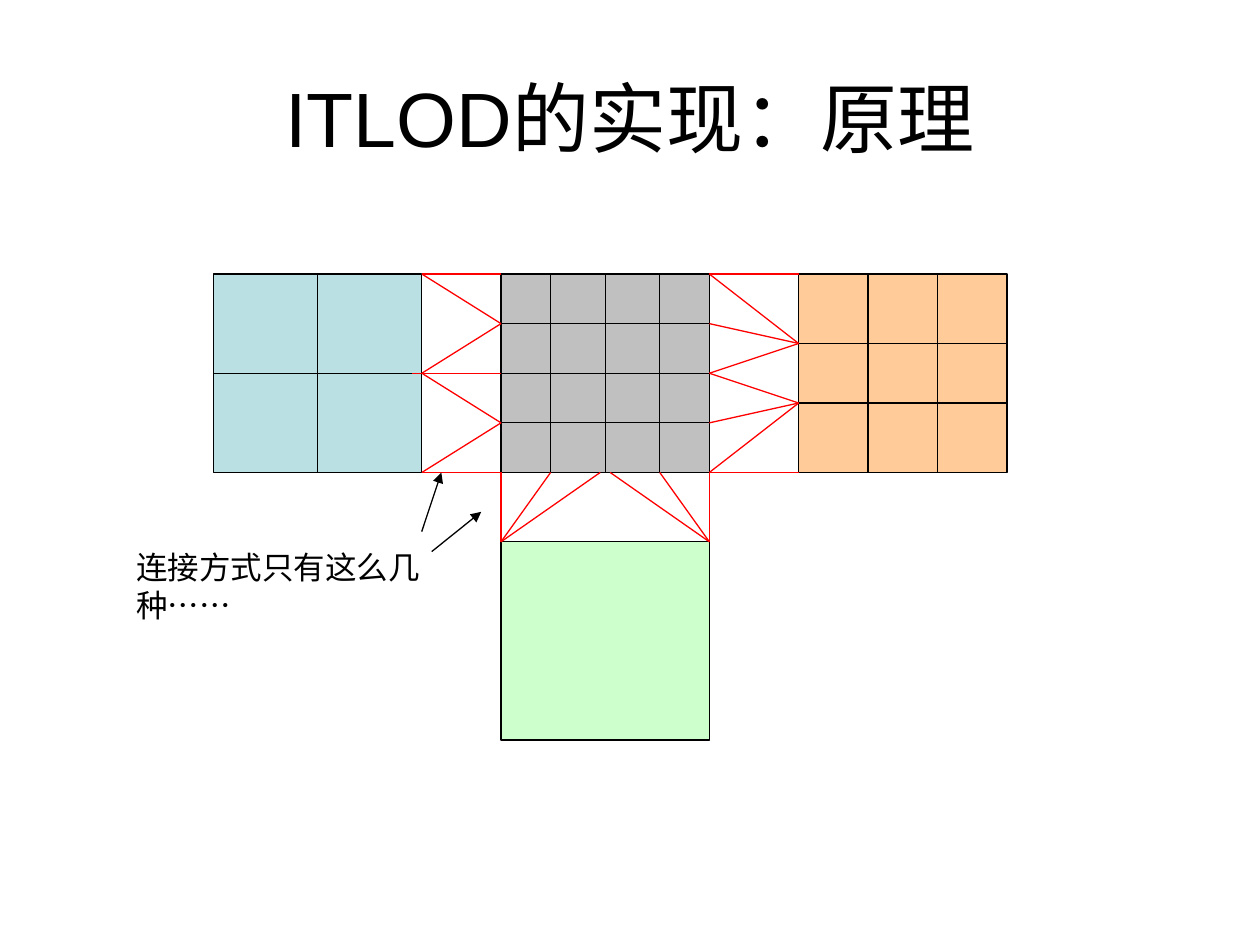
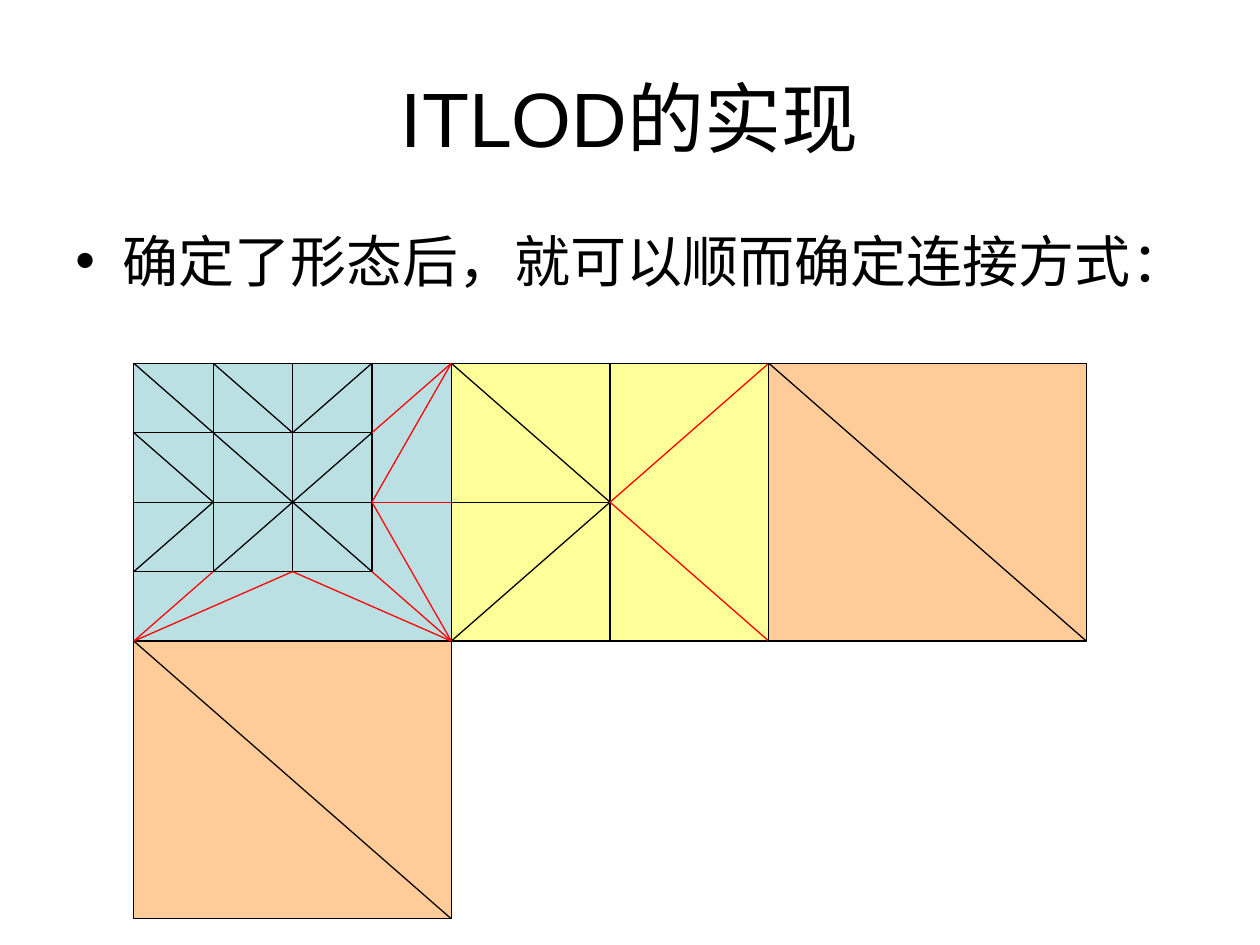
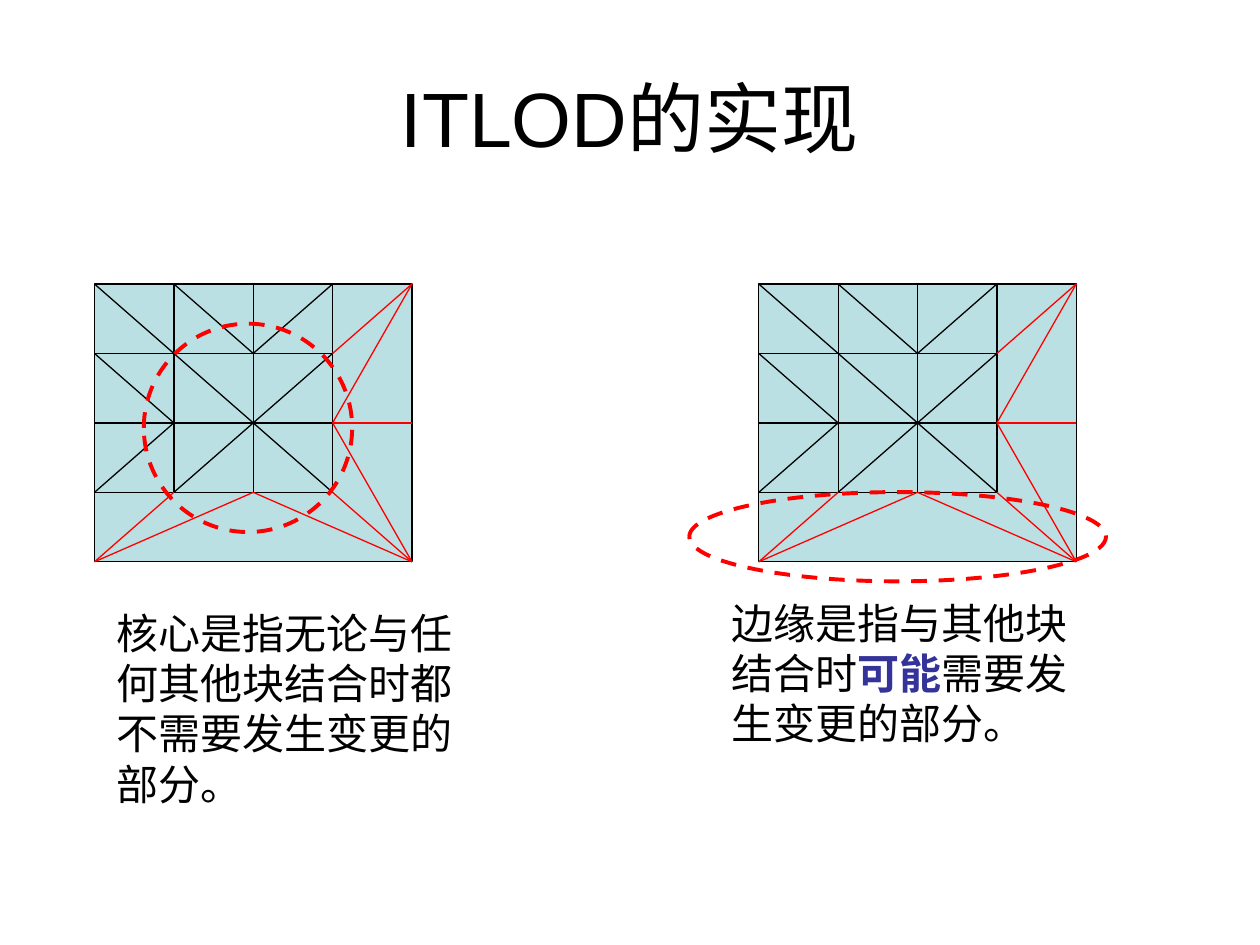
from dataclasses import dataclass

from lxml import etree
from pptx import Presentation
from pptx.dml.color import RGBColor
from pptx.enum import dml, lang, shapes, text
from pptx.oxml import ns
from pptx.util import Pt

COLORS = {
    "ink": "000000", "seam": "FF0000", "accent": "333399",
    "blue": "BBE0E3", "gray": "C0C0C0", "orange": "FFCC99",
    "green": "CCFFCC", "yellow": "FFFF99",
}
FONT = "Arial"
THIN = 0.75


@dataclass
class Box:
    left: float
    top: float
    width: float
    height: float

    def emu(self):
        return Pt(self.left), Pt(self.top), Pt(self.width), Pt(self.height)

    def shift(self, columns, rows):
        """Return the neighbour that many box sizes away."""
        return Box(self.left + columns * self.width,
                   self.top + rows * self.height, self.width, self.height)


TITLE = Box(36, 21.6, 648, 90)

# Edges of the fine block, in grid cells: (x1, y1, x2, y2)
FINE_GRID = ([(0, i, 3, i) for i in (1, 2, 3)]
             + [(i, 0, i, 3) for i in (1, 2, 3)])
FINE_DIAGONALS = [(0, 0, 3, 3), (0, 1, 1, 2), (3, 1, 1, 3),
                  (0, 3, 1, 2), (1, 0, 2, 1), (2, 1, 3, 0)]
FINE_SEAMS = [(3, 1, 4, 0), (3, 2, 4, 0), (3, 2, 4, 2), (3, 2, 4, 4),
              (0, 4, 1, 3), (0, 4, 2, 3), (2, 3, 4, 4), (3, 3, 4, 4)]


def rgb(name):
    return RGBColor.from_string(COLORS[name])


# Basic parts
def add_block(page, box, fill=None, line="ink", weight=THIN,
              kind=shapes.MSO_SHAPE.RECTANGLE):
    block = page.shapes.add_shape(kind, *box.emu())
    block.shadow.inherit = False
    if fill:
        block.fill.solid()
        block.fill.fore_color.rgb = rgb(fill)
    else:
        block.fill.background()
    block.line.color.rgb = rgb(line)
    block.line.width = Pt(weight)
    return block


def add_ring(page, box):
    ring = add_block(page, box, None, "seam", 2.25, shapes.MSO_SHAPE.OVAL)
    ring.line.dash_style = dml.MSO_LINE.DASH


def add_line(page, start, end, color="ink", arrow=False):
    ends = [Pt(value) for value in (*start, *end)]
    line = page.shapes.add_connector(shapes.MSO_CONNECTOR.STRAIGHT, *ends)
    line.line.color.rgb = rgb(color)
    line.line.width = Pt(THIN)
    properties = line._element.spPr
    if arrow:
        etree.SubElement(line.line._get_or_add_ln(), ns.qn("a:tailEnd"), type="triangle")
    etree.SubElement(properties, ns.qn("a:effectLst"))


def add_edges(page, box, columns, rows, edges, color="ink"):
    """Draw edges given in cells of a grid laid over the box."""
    def place(x, y):
        return (box.left + x * box.width / columns,
                box.top + y * box.height / rows)
    for x1, y1, x2, y2 in edges:
        add_line(page, place(x1, y1), place(x2, y2), color)


def add_text(page, box, spans, size, before=0, title=False, bullet=False, grow=False):
    """Each span is (words, color, bold)."""
    frame = page.shapes.add_textbox(*box.emu()).text_frame
    frame.word_wrap = True
    if grow:
        frame.auto_size = text.MSO_AUTO_SIZE.SHAPE_TO_FIT_TEXT
    para = frame.paragraphs[0]
    para.space_before = Pt(before)
    if title:
        frame.vertical_anchor = text.MSO_ANCHOR.MIDDLE
        para.alignment = text.PP_ALIGN.CENTER
    if bullet:
        properties = para._p.get_or_add_pPr()
        properties.set("marL", str(Pt(27)))
        properties.set("indent", str(-Pt(27)))
        etree.SubElement(properties, ns.qn("a:buFont"), typeface=FONT)
        etree.SubElement(properties, ns.qn("a:buChar"), char="•")
    for words, color, bold in spans:
        span = para.add_run()
        span.text = words
        span.font.name = FONT
        span.font.size = Pt(size)
        span.font.bold = bold
        span.font.color.rgb = rgb(color)
        span.font.language_id = lang.MSO_LANGUAGE_ID.SIMPLIFIED_CHINESE


def plain(words):
    return [(words, "ink", False)]


def new_page(deck, title):
    page = deck.slides.add_slide(deck.slide_layouts[6])
    add_text(page, TITLE, plain(title), 44, title=True)
    return page


# Terrain blocks
def add_tile(page, box, fill, units=(1, 1), columns=(), rows=()):
    add_block(page, box, fill)
    wide, high = units
    cuts = [(x, 0, x, high) for x in columns] + [(0, y, wide, y) for y in rows]
    add_edges(page, box, wide, high, cuts)


def add_fine_block(page, box):
    add_block(page, box, "blue")
    add_edges(page, box, 4, 4, FINE_GRID + FINE_DIAGONALS)
    add_edges(page, box, 4, 4, FINE_SEAMS, "seam")


def add_coarse_block(page, box):
    add_block(page, box, "orange")
    add_edges(page, box, 1, 1, [(0, 0, 1, 1)])


def add_middle_block(page, box):
    add_block(page, box, "yellow")
    add_edges(page, box, 2, 2, [(0, 0, 1, 1), (0, 2, 1, 1), (1, 0, 1, 2), (0, 1, 1, 1)])
    add_edges(page, box, 2, 2, [(2, 0, 1, 1), (2, 2, 1, 1)], "seam")


# Slides
def principle_page(deck):
    page = new_page(deck, "ITLOD的实现：原理")
    wide, high, top = 119.06, 113.39, 156.6
    left, center, right = (Box(x, top, wide, high) for x in (122, 286.3, 456.4))
    below = Box(center.left, 309.6, wide, high)

    # Tiles of differing detail
    add_tile(page, left, "blue", (2, 2), [1], [1])
    add_tile(page, center, "gray", (4.2, 4), [1, 2.1, 3.2], [1, 2, 3])
    add_tile(page, right, "orange", (3, 4), [1, 2], [1.4, 2.6])
    add_tile(page, below, "green")

    # Seams that join the tiles
    def gap(first, second):
        edge = first.left + wide
        return Box(edge, top, second.left - edge, high)
    add_edges(page, gap(left, center), 1, 4, [
        (0, 0, 1, 0), (0, 0, 1, 1), (0, 2, 1, 1), (-0.12, 2, 1, 2),
        (0, 2, 1, 3), (0, 4, 1, 3), (0, 4, 1, 4)], "seam")
    add_edges(page, gap(center, right), 1, 4, [
        (0, 0, 1, 0), (0, 0, 1, 1.4), (0, 1, 1, 1.4), (0, 2, 1, 1.4),
        (0, 2, 1, 2.6), (0, 3, 1, 2.6), (0, 4, 1, 2.6), (0, 4, 1, 4)], "seam")
    under = Box(center.left, top + high, wide, below.top - top - high)
    add_edges(page, under, 4.2, 1, [(x, 0, 0, 1) for x in (0, 1, 2)]
              + [(x, 0, 4.2, 1) for x in (2.2, 3.2, 4.2)], "seam")

    # Note with arrows
    add_text(page, Box(70.9, 309.6, 187, 50.4), plain("连接方式只有这么几种……"),
             18, before=11.2, grow=True)
    add_line(page, (241, 303.8), (252.2, 270), arrow=True)
    add_line(page, (246.7, 315.2), (275, 292.5), arrow=True)


def joining_page(deck):
    page = new_page(deck, "ITLOD的实现")
    add_text(page, Box(36, 126, 648, 356.4),
             plain("确定了形态后，就可以顺而确定连接方式："), 32, before=8, bullet=True)
    fine = Box(76.5, 207.6, 181.42, 158.74)
    add_middle_block(page, fine.shift(1, 0))
    add_coarse_block(page, fine.shift(2, 0))
    add_coarse_block(page, fine.shift(0, 1))
    add_fine_block(page, fine)


def parts_page(deck):
    page = new_page(deck, "ITLOD的实现")
    core = [("核心是指无论与任何其他块结合时都不需要发生变更的部分。", "ink", False)]
    rim = [("边缘是指与其他块结合时", "ink", False), ("可能", "accent", True),
           ("需要发生变更的部分。", "ink", False)]
    for left, ring, note, spans in (
            (54, Box(82.2, 185, 119.06, 119.06), Box(59.6, 343.4, 215.4, 122.4), core),
            (433.6, Box(393.9, 281.2, 238.1, 51), Box(411, 337.7, 215.4, 93.6), rim)):
        add_fine_block(page, Box(left, 162.3, 181.42, 158.74))
        add_ring(page, ring)
        add_text(page, note, spans, 24, before=15, grow=True)


def main():
    deck = Presentation()
    deck.slide_width, deck.slide_height = Pt(720), Pt(540)
    principle_page(deck)
    joining_page(deck)
    parts_page(deck)
    deck.save("out.pptx")


if __name__ == "__main__":
    main()
